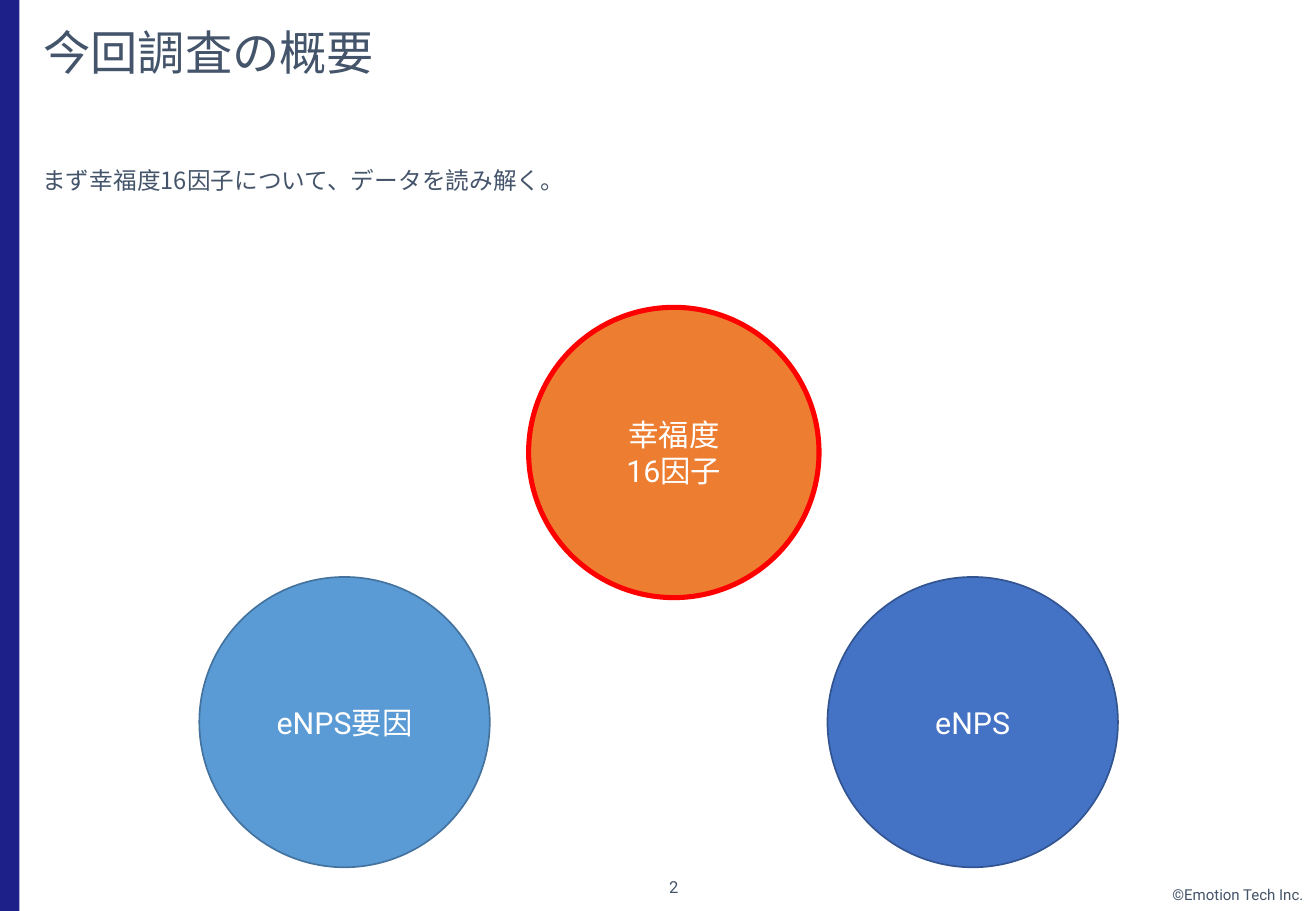
from dataclasses import dataclass

from lxml.etree import SubElement
from pptx import Presentation
from pptx.dml.color import RGBColor
from pptx.enum.shapes import MSO_SHAPE
from pptx.enum.text import MSO_ANCHOR, PP_ALIGN
from pptx.oxml.ns import qn
from pptx.slide import Slide
from pptx.text.text import TextFrame
from pptx.util import Emu, Pt

PX = 9144
PAGE_WIDTH, PAGE_HEIGHT = 1083, 750
CIRCLE_SIZE = 239

NAVY = RGBColor(0x1D, 0x20, 0x88)
SLATE = RGBColor(0x44, 0x54, 0x6A)
WHITE = RGBColor(0xFF, 0xFF, 0xFF)
ORANGE = RGBColor(0xED, 0x7D, 0x31)
RED = RGBColor(0xFF, 0x00, 0x00)
SKY = RGBColor(0x5B, 0x9B, 0xD5)
SKY_EDGE = RGBColor(0x43, 0x73, 0x9E)
BLUE = RGBColor(0x44, 0x72, 0xC4)
BLUE_EDGE = RGBColor(0x32, 0x54, 0x91)

LATIN_FONT = "Roboto"
JAPANESE_FONT = "Noto Sans CJK JP"


@dataclass(frozen=True)
class Label:
    text: str
    left: int
    top: int
    width: int
    height: int
    size: float
    font: str = LATIN_FONT
    align: PP_ALIGN = PP_ALIGN.LEFT
    anchor: MSO_ANCHOR = MSO_ANCHOR.MIDDLE
    wrap: bool = True
    line_spacing: float = 1.0


@dataclass(frozen=True)
class Circle:
    text: str
    left: int
    top: int
    fill: RGBColor
    edge: RGBColor
    edge_width: int = 1


LABELS = [
    Label("©Emotion Tech Inc.", 955, 724, 129, 25, 8.9,
          anchor=MSO_ANCHOR.TOP, wrap=False),
    Label("まず幸福度16因子について、データを読み解く。", 25, 86, 1048, 127, 14,
          font=JAPANESE_FONT, line_spacing=0.9),
    Label("2", 463, 710, 183, 40, 9.8, align=PP_ALIGN.CENTER),
    Label("今回調査の概要", 26, 5, 773, 81, 28, line_spacing=0.9),
]

CIRCLES = [
    Circle("幸福度\n16因子", 435, 253, ORANGE, RED, 3),
    Circle("eNPS要因", 164, 475, SKY, SKY_EDGE),
    Circle("eNPS", 681, 475, BLUE, BLUE_EDGE),
]


def px(*lengths: int) -> list[Emu]:
    """Turn whole pixels into EMU."""
    return [Emu(length * PX) for length in lengths]


def write_text(frame: TextFrame, text: str, size: float, color: RGBColor,
               align: PP_ALIGN, font: str = LATIN_FONT,
               line_spacing: float = 1.0) -> None:
    """Fill a frame with text and format its runs."""
    frame.text = text
    for para in frame.paragraphs:
        para.alignment = align
        para.line_spacing = line_spacing
        for span in para.runs:
            span.font.size = Pt(size)
            span.font.color.rgb = color
            span.font.name = font
            properties = span.font._element
            SubElement(properties, qn("a:ea"), typeface=JAPANESE_FONT)


def draw_sidebar(page: Slide) -> None:
    """Draw the navy band on the left edge."""
    band = page.shapes.add_shape(MSO_SHAPE.RECTANGLE, *px(0, 0, 16, PAGE_HEIGHT))
    band.shadow.inherit = False
    band.fill.solid()
    band.fill.fore_color.rgb = NAVY
    band.line.fill.background()


def draw_label(page: Slide, label: Label) -> None:
    """Draw one text box."""
    box = page.shapes.add_textbox(
        *px(label.left, label.top, label.width, label.height))
    frame = box.text_frame
    frame.word_wrap = label.wrap
    frame.vertical_anchor = label.anchor
    write_text(frame, label.text, label.size, SLATE, label.align,
               label.font, label.line_spacing)


def draw_circle(page: Slide, circle: Circle) -> None:
    """Draw one captioned circle."""
    shape = page.shapes.add_shape(
        MSO_SHAPE.OVAL, *px(circle.left, circle.top, CIRCLE_SIZE, CIRCLE_SIZE))
    shape.shadow.inherit = False
    shape.fill.solid()
    shape.fill.fore_color.rgb = circle.fill
    shape.line.color.rgb = circle.edge
    shape.line.width = Pt(circle.edge_width)
    shape.text_frame.vertical_anchor = MSO_ANCHOR.MIDDLE
    write_text(shape.text_frame, circle.text, 18, WHITE, PP_ALIGN.CENTER)


def main() -> None:
    """Build the slide and save it."""
    deck = Presentation()
    deck.slide_width, deck.slide_height = px(PAGE_WIDTH, PAGE_HEIGHT)
    page = deck.slides.add_slide(deck.slide_layouts[6])
    draw_sidebar(page)
    for label in LABELS:
        draw_label(page, label)
    for circle in CIRCLES:
        draw_circle(page, circle)
    deck.save("out.pptx")


if __name__ == "__main__":
    main()
